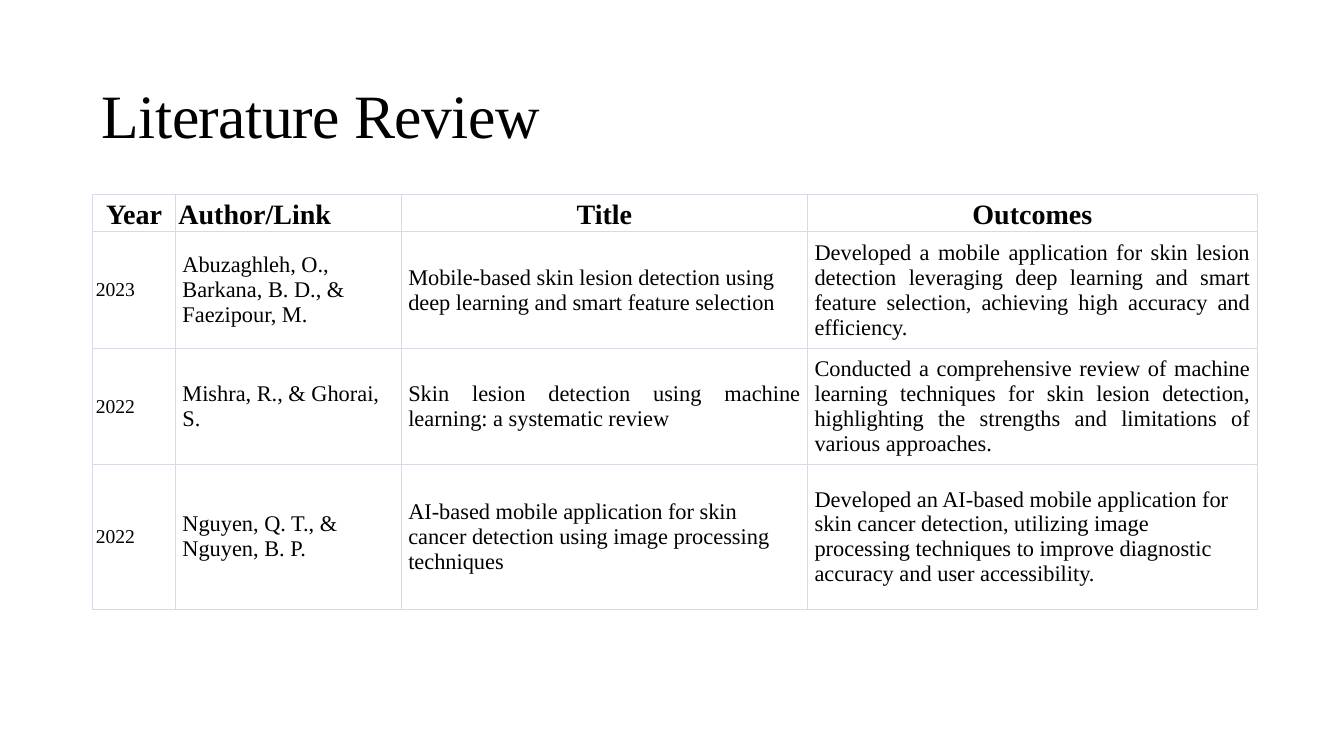
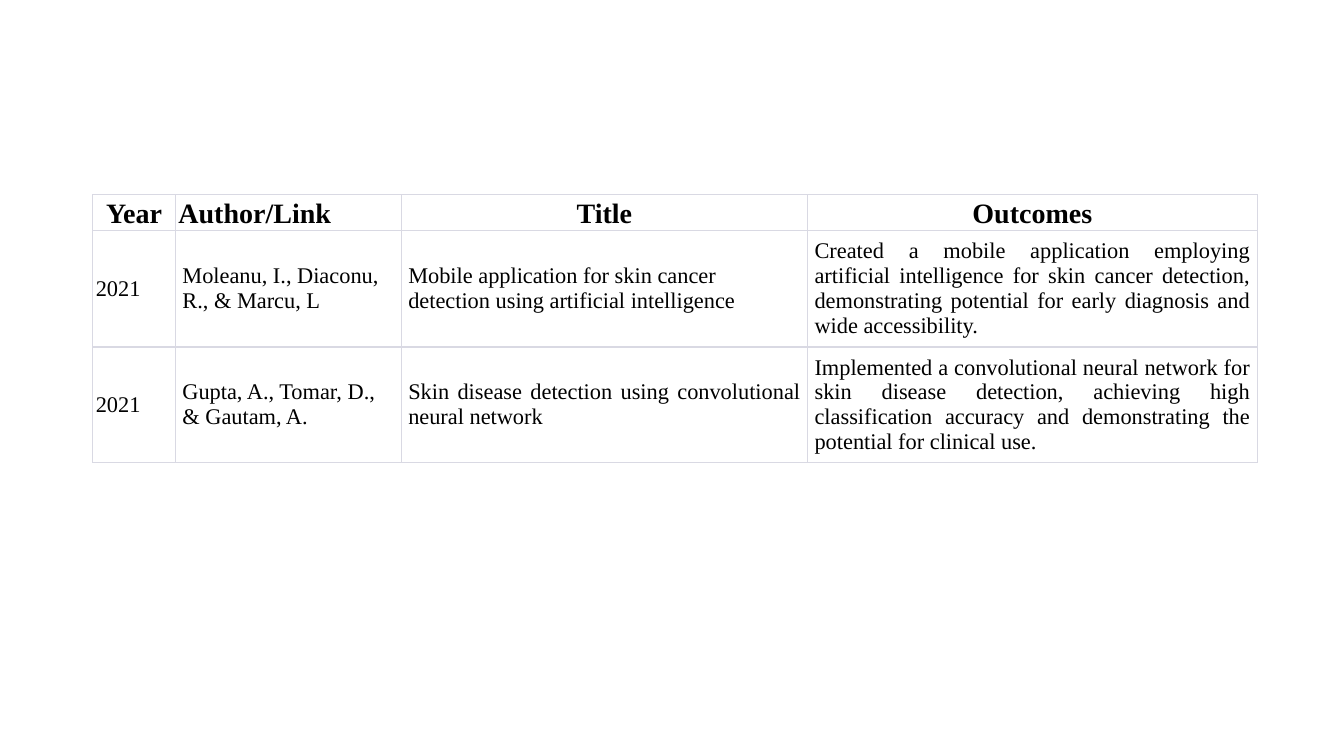
from dataclasses import dataclass

from lxml.etree import SubElement
from pptx import Presentation
from pptx.dml.color import RGBColor
from pptx.enum.text import MSO_ANCHOR as Anchor, PP_ALIGN as Align
from pptx.oxml.ns import qn
from pptx.util import Pt

EMU_PER_PX = 9144


@dataclass(frozen=True)
class Theme:
    """Colours, font, type sizes and line widths shared by the slides."""
    font: str = "Times New Roman"
    ink: str = "000000"
    rule: str = "D9D9E3"
    title: int = 44
    header: int = 20
    body: int = 16
    small: int = 14
    thin: float = 0.75
    thick: float = 1


@dataclass(frozen=True)
class Box:
    """A region of the slide in px."""
    left: int
    top: int
    width: int
    height: int


@dataclass(frozen=True)
class Study:
    """One reviewed paper and the alignment of its longer texts."""
    year: str
    authors: str
    title: str
    outcome: str
    title_align: Align = Align.LEFT
    outcome_align: Align = Align.JUSTIFY


THEME = Theme()
TITLE_BOX = Box(101, 76, 977, 68)
TABLE_LEFT, TABLE_TOP = 92, 193
COLUMNS = (82, 224, 403, 446)
TIGHT, ROOMY = (3, 1), (7, 4)
HEADERS = (("Year", Align.CENTER), ("Author/Link", Align.LEFT),
           ("Title", Align.CENTER), ("Outcomes", Align.CENTER))

RECENT_STUDIES = (
    Study("2023", "Abuzaghleh, O., Barkana, B. D., & Faezipour, M.",
          "Mobile-based skin lesion detection using deep learning and smart feature selection",
          "Developed a mobile application for skin lesion detection leveraging deep learning "
          "and smart feature selection, achieving high accuracy and efficiency."),
    Study("2022", "Mishra, R., & Ghorai, S.",
          "Skin lesion detection using machine learning: a systematic review",
          "Conducted a comprehensive review of machine learning techniques for skin lesion "
          "detection, highlighting the strengths and limitations of various approaches.",
          title_align=Align.JUSTIFY),
    Study("2022", "Nguyen, Q. T., & Nguyen, B. P.",
          "AI-based mobile application for skin cancer detection using image processing techniques",
          "Developed an AI-based mobile application for skin cancer detection, utilizing image "
          "processing techniques to improve diagnostic accuracy and user accessibility.",
          outcome_align=Align.LEFT),
)
EARLIER_STUDIES = (
    Study("2021", "Moleanu, I., Diaconu, R., & Marcu, L",
          "Mobile application for skin cancer detection using artificial intelligence",
          "Created a mobile application employing artificial intelligence for skin cancer "
          "detection, demonstrating potential for early diagnosis and wide accessibility."),
    Study("2021", "Gupta, A., Tomar, D., & Gautam, A.",
          "Skin disease detection using convolutional neural network",
          "Implemented a convolutional neural network for skin disease detection, achieving "
          "high classification accuracy and demonstrating the potential for clinical use.",
          title_align=Align.JUSTIFY),
)


def px(length):
    """Turn px into EMU."""
    return length * EMU_PER_PX


def place(box):
    """Return the box as EMU arguments for a new shape."""
    return px(box.left), px(box.top), px(box.width), px(box.height)


def write(frame, text, size=THEME.body, bold=False, align=Align.LEFT, tracking=0):
    """Write one formatted paragraph into a text frame."""
    paragraph = frame.paragraphs[0]
    paragraph.alignment = align
    run = paragraph.add_run()
    run.text = text
    run.font.name = THEME.font
    run.font.size = Pt(size)
    run.font.bold = bold
    run.font.color.rgb = RGBColor.from_string(THEME.ink)
    if tracking:
        run.font._element.set("spc", str(round(tracking * 100)))


def rule_cell(cell, top_width):
    """Draw the four borders of a table cell."""
    properties = cell._tc.get_or_add_tcPr()
    widths = {"a:lnL": THEME.thin, "a:lnR": THEME.thin,
              "a:lnT": top_width, "a:lnB": THEME.thick}
    for side, width in widths.items():
        line = SubElement(properties, qn(side), w=str(Pt(width)))
        fill = SubElement(line, qn("a:solidFill"))
        SubElement(fill, qn("a:srgbClr"), val=THEME.rule)


def fill_cell(cell, text, inset, anchor, top_width=THEME.thick, **text_format):
    """Set the borders, insets and text of a table cell."""
    rule_cell(cell, top_width)
    cell.fill.background()
    cell.margin_left = cell.margin_right = px(inset[0])
    cell.margin_top = cell.margin_bottom = px(inset[1])
    cell.vertical_anchor = anchor
    write(cell.text_frame, text, **text_format)


def add_title(slide, box, text):
    """Place the slide title in its box."""
    frame = slide.shapes.add_textbox(*place(box)).text_frame
    frame.word_wrap = True
    frame.margin_left = frame.margin_right = frame.margin_top = frame.margin_bottom = 0
    write(frame, text, size=THEME.title, tracking=-0.4)


def add_review(slide, left, top, row_heights, studies, year_size):
    """Place the table of studies with its header row."""
    box = Box(left, top, sum(COLUMNS), sum(row_heights))
    review = slide.shapes.add_table(len(row_heights), len(COLUMNS), *place(box)).table
    review.first_row = review.horz_banding = False
    for column, width in zip(review.columns, COLUMNS):
        column.width = px(width)
    for row, height in zip(review.rows, row_heights):
        row.height = px(height)
    for index, (label, align) in enumerate(HEADERS):
        fill_cell(review.cell(0, index), label, TIGHT, Anchor.BOTTOM, THEME.thin,
                  size=THEME.header, bold=True, align=align)
    for index, study in enumerate(studies, start=1):
        year, authors, title, outcome = review.rows[index].cells
        fill_cell(year, study.year, TIGHT, Anchor.MIDDLE, size=year_size)
        fill_cell(authors, study.authors, ROOMY, Anchor.MIDDLE)
        fill_cell(title, study.title, ROOMY, Anchor.MIDDLE, align=study.title_align)
        fill_cell(outcome, study.outcome, ROOMY, Anchor.MIDDLE, align=study.outcome_align)


def main():
    """Build the literature review slides."""
    deck = Presentation()
    deck.slide_width, deck.slide_height = px(1333), px(750)
    blank = deck.slide_layouts[6]
    opening = deck.slides.add_slide(blank)
    add_title(opening, TITLE_BOX, "Literature Review")
    add_review(opening, TABLE_LEFT, TABLE_TOP, (37, 116, 114, 144),
               RECENT_STUDIES, THEME.small)
    add_review(deck.slides.add_slide(blank), TABLE_LEFT, TABLE_TOP, (34, 116, 106),
               EARLIER_STUDIES, THEME.body)
    deck.save("out.pptx")


if __name__ == "__main__":
    main()
